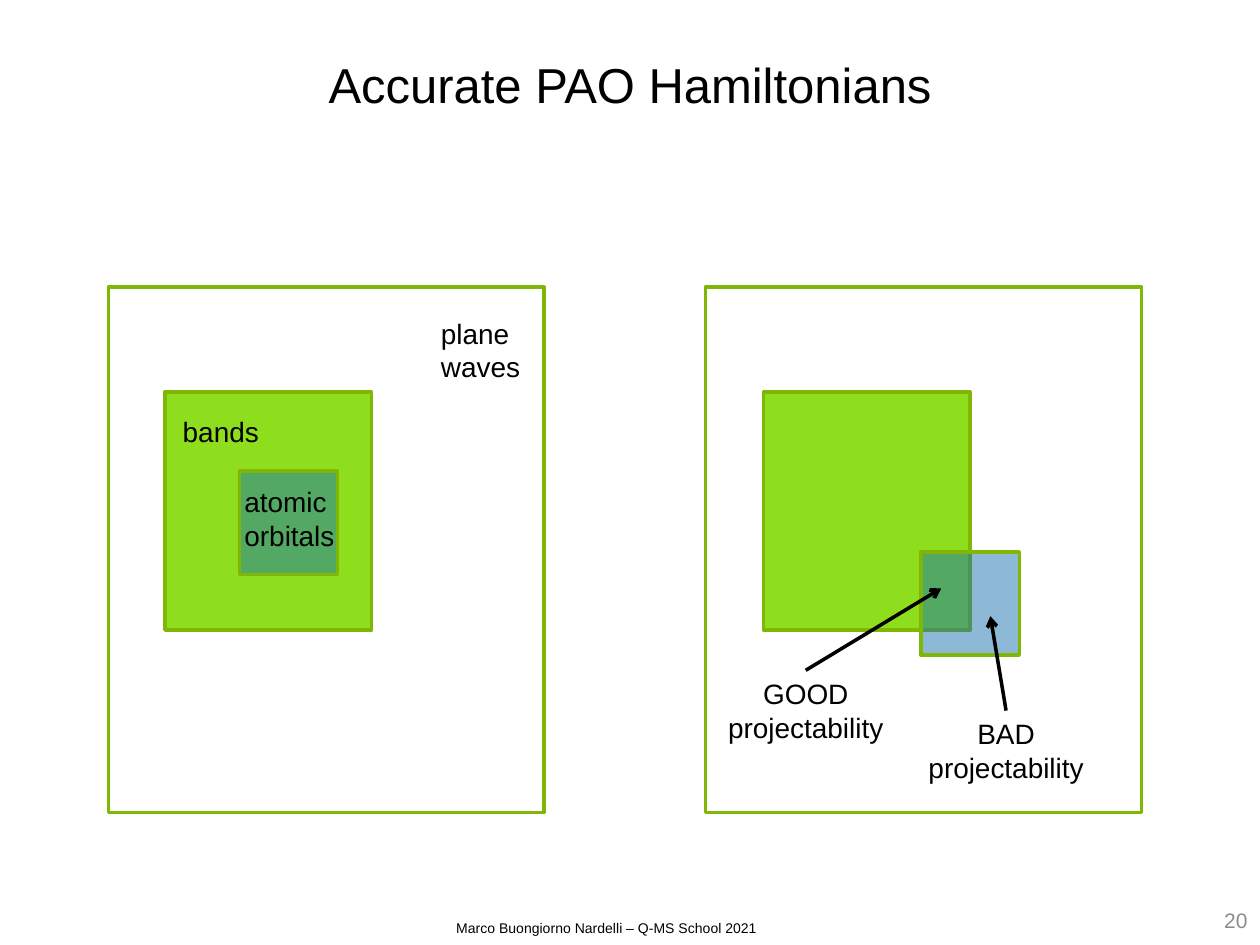
from lxml.etree import SubElement
from pptx import Presentation
from pptx.dml.color import RGBColor
from pptx.enum.shapes import MSO_CONNECTOR, MSO_SHAPE
from pptx.enum.text import MSO_ANCHOR, MSO_AUTO_SIZE as AUTO, PP_ALIGN as ALIGN
from pptx.oxml.ns import qn
from pptx.util import Inches, Pt

BLACK = RGBColor(0x00, 0x00, 0x00)
WHITE = RGBColor(0xFF, 0xFF, 0xFF)
GRAY = RGBColor(0x8C, 0x8C, 0x8C)
OUTLINE = RGBColor(0x80, 0xB6, 0x06)
LIME = RGBColor(0x8E, 0xDE, 0x1D)
BLUE = RGBColor(0x17, 0x72, 0xAD)

# Content
TITLE = "Accurate PAO Hamiltonians"
FOOTER = "Marco Buongiorno Nardelli – Q-MS School 2021"
PAGE_NUMBER = "20"

# Nested spaces: size, fill, opacity in percent
PLANE_WAVES = ((3.46, 4.17), WHITE, 100)
BANDS = ((1.64, 1.89), LIME, 100)
ORBITALS = ((0.78, 0.82), BLUE, 49)

# Each panel: (space, left, top), from back to front
PANELS = [
    [(PLANE_WAVES, 0.86, 2.28), (BANDS, 1.31, 3.11), (ORBITALS, 1.9, 3.74)],
    [(PLANE_WAVES, 5.6, 2.28), (BANDS, 6.06, 3.11), (ORBITALS, 7.31, 4.38)],
]
SPACE_LABELS = [
    ("bands", (1.4, 3.24, 0.71, 0.37)),
    ("plane\nwaves", (3.45, 2.46, 0.74, 0.64)),
    ("atomic\norbitals", (1.89, 3.8, 0.82, 0.64)),
]
# Label, its place, and the point its arrow reaches
CALLOUTS = [
    ("GOOD\nprojectability", (5.72, 5.32, 1.35, 0.64), (7.47, 4.67)),
    ("BAD\nprojectability", (7.31, 5.64, 1.35, 0.64), (7.86, 4.89)),
]


def write(box, text, size=16, color=BLACK, align=ALIGN.LEFT, wrap=False,
          anchor=MSO_ANCHOR.TOP, side=0.05, fit=AUTO.SHAPE_TO_FIT_TEXT):
    frame = box.text_frame
    frame.text = text
    frame.word_wrap = wrap
    frame.auto_size = fit
    frame.vertical_anchor = anchor
    frame.margin_left = frame.margin_right = Inches(side)
    frame.margin_top = frame.margin_bottom = Inches(0.05)
    for para in frame.paragraphs:
        para.alignment = align
        for span in para.runs:
            span.font.name = "Arial"
            span.font.size = Pt(size)
            span.font.color.rgb = color


def add_text(page, text, place, **style):
    box = page.shapes.add_textbox(*map(Inches, place))
    write(box, text, **style)
    return box


def add_space(page, space, left, top):
    size, color, opacity = space
    box = page.shapes.add_shape(MSO_SHAPE.RECTANGLE,
                                *map(Inches, (left, top, *size)))
    box.shadow.inherit = False
    box.fill.solid()
    box.fill.fore_color.rgb = color
    if opacity < 100:
        paint = box.fill._xPr.find(qn("a:solidFill"))[0]
        SubElement(paint, qn("a:alpha"), val=str(opacity * 1000))
    box.line.color.rgb = OUTLINE
    box.line.width = Pt(2)
    SubElement(box.line._get_or_add_ln(), qn("a:round"))


def add_arrow(page, label, target):
    x, y = map(Inches, target)
    arrow = page.shapes.add_connector(MSO_CONNECTOR.STRAIGHT, x, y, x, y)
    arrow.begin_connect(label, 0)
    arrow.line.color.rgb = BLACK
    arrow.line.width = Pt(2)
    SubElement(arrow.line._get_or_add_ln(), qn("a:tailEnd"), type="arrow")
    SubElement(arrow._element.spPr, qn("a:effectLst"))


def main():
    deck = Presentation()
    deck.slide_width, deck.slide_height = Inches(10), Inches(7.5)
    page = deck.slides.add_slide(deck.slide_layouts[5])

    # Title
    title = page.shapes.title
    title.left, title.top, title.width, title.height = map(
        Inches, (0.75, 0, 8.5, 1.33))
    write(title, TITLE, size=28, align=ALIGN.CENTER, wrap=True,
          anchor=MSO_ANCHOR.MIDDLE, fit=AUTO.NONE)

    # Nested spaces
    for panel in PANELS:
        for space, left, top in panel:
            add_space(page, space, left, top)

    # Labels and arrows
    for text, place in SPACE_LABELS:
        add_text(page, text, place)
    for text, place, target in CALLOUTS:
        label = add_text(page, text, place, align=ALIGN.CENTER)
        add_arrow(page, label, target)

    # Footer and page number
    add_text(page, FOOTER, (2.94, 7.25, 3.75, 0.24), size=8,
             align=ALIGN.CENTER, wrap=True)
    add_text(page, PAGE_NUMBER, (7.67, 7.1, 2.33, 0.4), size=12, color=GRAY,
             align=ALIGN.RIGHT, wrap=True, anchor=MSO_ANCHOR.MIDDLE,
             side=0.1, fit=AUTO.NONE)

    deck.save("out.pptx")


if __name__ == "__main__":
    main()
